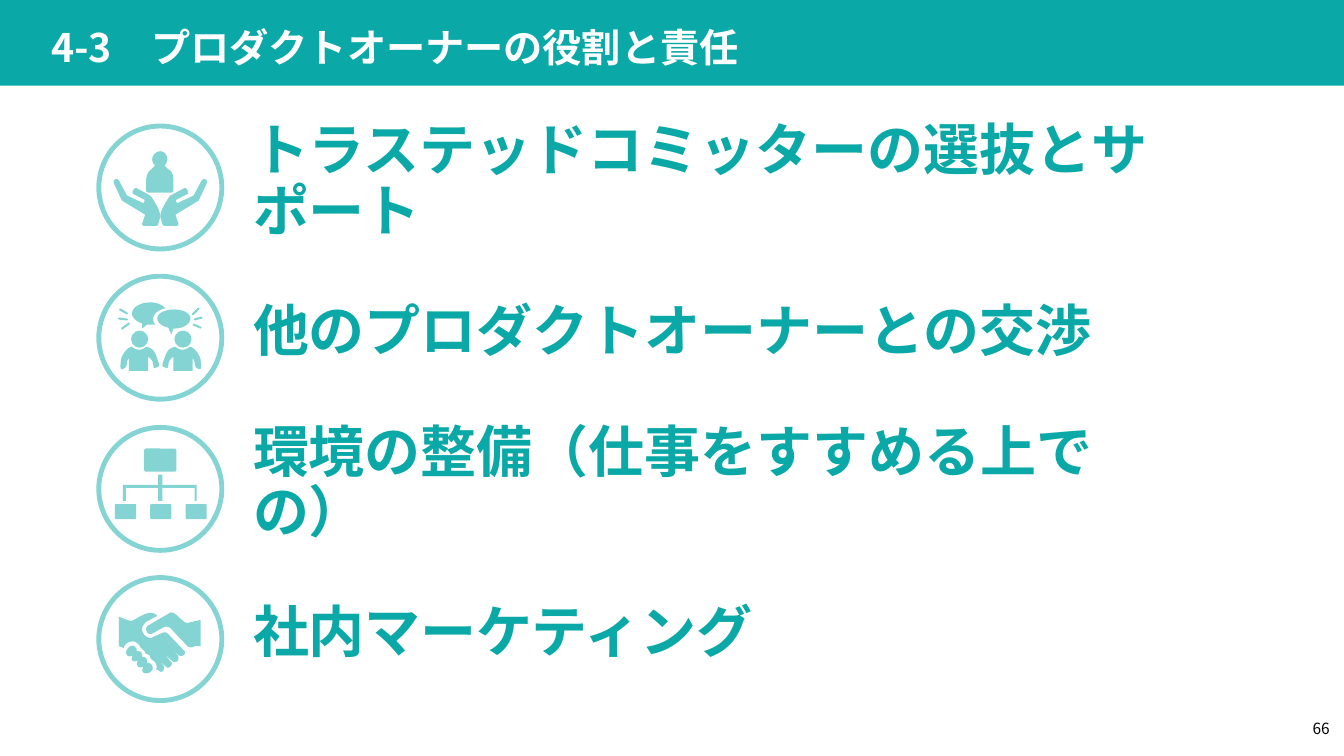
from dataclasses import dataclass

from lxml.etree import SubElement
from pptx import Presentation
from pptx.dml.color import RGBColor
from pptx.enum.lang import MSO_LANGUAGE_ID as Language
from pptx.enum.shapes import MSO_CONNECTOR as Connector, MSO_SHAPE as Shape
from pptx.enum.text import MSO_ANCHOR as Anchor, MSO_AUTO_SIZE as AutoSize, PP_ALIGN as Align
from pptx.oxml.ns import qn
from pptx.util import Pt

TITLE = "4-3\u3000プロダクトオーナーの役割と責任".replace("\u3000", "　")
PAGE_NUMBER = "66"

# Outlines: a pair is a straight step, six numbers are a Bezier step.
HAND = [
    (149, 194), (136, 187), (134, 186, 133, 187, 132, 189), (131, 190, 131, 192, 133, 193),
    (143, 198), (143, 198, 144, 200, 143, 200), (143, 201, 142, 202, 141, 201), (126, 194),
    (118, 179), (117, 178, 115, 177, 114, 178), (113, 179, 112, 181, 113, 182), (120, 197),
    (121, 199), (144, 213), (141, 222), (141, 223, 141, 224, 143, 224), (155, 224),
    (156, 224, 157, 223, 157, 222), (159, 215), (159, 212, 158, 210, 157, 207),
    (155, 203, 151, 196, 149, 194)]
HELD_PERSON = [
    (145, 189), (145, 190, 146, 191, 147, 191), (170, 191), (171, 191, 172, 190, 172, 189),
    (172, 179), (172, 174, 171, 170, 167, 168), (163, 164), (165, 163, 166, 160, 166, 158),
    (166, 154, 163, 150, 159, 150), (155, 150, 151, 154, 151, 158),
    (151, 160, 152, 163, 154, 164), (150, 168), (147, 170, 145, 174, 145, 179)]
SPEAKER = [
    (131, 344), (131, 344, 134, 347, 138, 347), (142, 347, 145, 344, 145, 344),
    (145, 344, 151, 345, 153, 349), (155, 352, 158, 361, 158, 363),
    (157, 364, 155, 365, 153, 365), (152, 365, 152, 360, 151, 358),
    (149, 355, 147, 354, 147, 354), (147, 368), (128, 368), (128, 355),
    (128, 355, 126, 358, 126, 359), (126, 360, 126, 365, 122, 366),
    (118, 368, 120, 360, 120, 357), (120, 354, 126, 344, 131, 344)]
BACK_BUBBLE = [
    (164, 306), (161, 302, 155, 300, 149, 300), (139, 300, 131, 305, 131, 311),
    (131, 315, 135, 319, 141, 321), (141, 326), (146, 322), (149, 322), (154, 322),
    (152, 320, 152, 318, 152, 316), (152, 312, 157, 307, 164, 306)]
FRONT_BUBBLE = [
    (173, 307), (163, 307, 156, 311, 156, 316), (156, 320, 161, 324, 167, 325), (170, 332),
    (172, 326), (173, 326), (182, 326, 189, 321, 189, 316), (189, 311, 182, 307, 173, 307)]
TREE = [
    (122, 497), (122, 481), (157, 481), (157, 471), (161, 471), (161, 481), (195, 481),
    (195, 497), (193, 497), (193, 484), (161, 484), (161, 497), (157, 497), (157, 484),
    (125, 484), (125, 497)]
RIGHT_HAND = [
    (199, 615), (199, 641), (193, 641), (192, 642, 188, 643, 186, 641),
    (182, 637, 169, 623, 169, 623), (169, 623, 166, 621, 163, 622), (159, 624, 154, 627, 152, 628),
    (148, 631, 145, 627, 145, 624), (145, 622, 146, 621, 148, 620), (153, 617, 163, 611, 167, 609),
    (169, 607, 171, 607, 175, 610), (179, 614, 183, 617, 183, 617), (183, 617, 184, 618, 186, 618)]
KNUCKLES = [
    (146, 658), (146, 656, 146, 654, 145, 653), (144, 652, 142, 651, 141, 652),
    (141, 650, 141, 649, 140, 647), (139, 646, 137, 646, 135, 646), (136, 645, 136, 643, 134, 642),
    (133, 640, 130, 640, 128, 642), (126, 644, 124, 647, 126, 650), (128, 652, 130, 651, 132, 650),
    (131, 652, 130, 653, 131, 655), (133, 657, 135, 656, 137, 655), (136, 657, 135, 659, 137, 661),
    (138, 663, 141, 662, 142, 661), (142, 663, 140, 665, 142, 667), (144, 669, 148, 668, 150, 666),
    (152, 664, 152, 661, 150, 659), (149, 658, 147, 657, 146, 658)]
LEFT_HAND = [
    (182, 645), (167, 629), (167, 629, 164, 626, 161, 628), (154, 631), (150, 633),
    (145, 633, 141, 629, 141, 624), (141, 621, 143, 619, 145, 617), (156, 611),
    (156, 611, 154, 608, 149, 608), (144, 608, 133, 615, 133, 615),
    (133, 615, 131, 617, 126, 615), (118, 612), (118, 641), (123, 643),
    (123, 641, 124, 640, 125, 639), (128, 636, 134, 635, 137, 639), (138, 640, 139, 641, 139, 642),
    (142, 645), (143, 645, 144, 647, 144, 648), (145, 649, 147, 649, 148, 650),
    (149, 651, 149, 653, 150, 654), (153, 656), (155, 658, 156, 661, 155, 664), (157, 665),
    (159, 667, 161, 667, 162, 665), (163, 664, 163, 662, 162, 660), (158, 655), (164, 661),
    (166, 663, 168, 663, 169, 661), (171, 660, 171, 657, 169, 656), (163, 649), (171, 656),
    (173, 657, 175, 657, 176, 656), (177, 655, 177, 653, 177, 651), (171, 644), (177, 650),
    (179, 651, 181, 651, 182, 650), (184, 649, 184, 646, 182, 645)]
RAYS = [
    (191, 312, 197, 306), (193, 317, 200, 315), (192, 322, 199, 325),
    (126, 311, 119, 307), (126, 317, 118, 316), (128, 321, 121, 326)]


def mirrored(outline, axis_sum):
    return [tuple(axis_sum - v if i % 2 == 0 else v for i, v in enumerate(step))
            for step in outline]


DUTIES = [
    ("トラステッドコミッターの選抜とサポート",
     {"outlines": [HAND, mirrored(HAND, 318), HELD_PERSON]}),
    ("他のプロダクトオーナーとの交渉",
     {"outlines": [SPEAKER, mirrored(SPEAKER, 319), BACK_BUBBLE, FRONT_BUBBLE],
      "heads": [(130, 328, 17, 17), (173, 328, 17, 17)], "rays": RAYS}),
    ("環境の整備（仕事をすすめる上での）",
     {"outlines": [TREE],
      "boxes": [(143, 445, 32, 23)] + [(114 + 35 * i, 500, 21, 15) for i in range(3)]}),
    ("社内マーケティング", {"outlines": [RIGHT_HAND, KNUCKLES, LEFT_HAND]}),
]


@dataclass(frozen=True)
class Theme:
    teal: RGBColor = RGBColor(0x0A, 0xA8, 0xA7)
    pale: RGBColor = RGBColor(0x85, 0xD4, 0xD4)
    white: RGBColor = RGBColor(0xFF, 0xFF, 0xFF)
    black: RGBColor = RGBColor(0, 0, 0)
    latin: str = "Cabin"
    japanese: str = "Noto Sans CJK JP"
    title: int = 28
    duty: int = 40
    number: int = 11


THEME = Theme()
PX = 9144  # 100 px to the inch
FIRST_ROW, ROW_PITCH = 125, 149.4


def px(*lengths):
    return [round(length * PX) for length in lengths]


def flatten(outline, pieces=8):
    """Turn the steps of an outline into plain points."""
    points = [outline[0]]
    for step in outline[1:]:
        if len(step) == 2:
            points.append(step)
            continue
        corners = [points[-1], step[:2], step[2:4], step[4:]]
        for n in range(1, pieces + 1):
            t = n / pieces
            weights = ((1 - t) ** 3, 3 * t * (1 - t) ** 2, 3 * t * t * (1 - t), t ** 3)
            points.append(tuple(sum(w * c[axis] for w, c in zip(weights, corners))
                                for axis in (0, 1)))
    return points


def paint(shape, fill, line=None):
    shape.shadow.inherit = False
    shape.fill.solid()
    shape.fill.fore_color.rgb = fill
    if line is None:
        shape.line.fill.background()
    else:
        shape.line.color.rgb = line
        shape.line.width = Pt(3.5)


def add_preset(shapes, kind, place, fill, line=None):
    shape = shapes.add_shape(kind, *px(*place))
    paint(shape, fill, line)
    return shape


def add_outline(shapes, outline):
    first, *rest = [px(*point) for point in flatten(outline)]
    builder = shapes.build_freeform(*first, scale=1.0)
    builder.add_line_segments(rest, close=True)
    paint(builder.convert_to_shape(), THEME.pale)


def add_ray(shapes, ends):
    ray = shapes.add_connector(Connector.STRAIGHT, *px(*ends))
    ray.line.color.rgb = THEME.pale
    ray.line.width = Pt(1.5)
    ray.line._get_or_add_ln().set("cap", "rnd")
    SubElement(ray._element.spPr, qn("a:effectLst"))


def write(box, text, size, color, font, insets, anchor, bold=True, align=Align.LEFT, spacing=0.9):
    frame = box.text_frame
    frame.word_wrap = True
    frame.auto_size = AutoSize.NONE
    frame.vertical_anchor = anchor
    (frame.margin_left, frame.margin_top,
     frame.margin_right, frame.margin_bottom) = px(*insets)
    para = frame.paragraphs[0]
    para.alignment = align
    para.line_spacing = spacing
    span = para.add_run()
    span.text = text
    span.font.size = Pt(size)
    span.font.bold = bold
    span.font.color.rgb = color
    span.font.name = font
    span.font.language_id = Language.JAPANESE
    SubElement(span.font._element, qn("a:ea")).set("typeface", THEME.japanese)


def add_icon(page, top, outlines, heads=(), boxes=(), rays=()):
    shapes = page.shapes.add_group_shape().shapes
    add_preset(shapes, Shape.OVAL, (98, top, 122, 122), THEME.white, THEME.pale)
    for head in heads:
        add_preset(shapes, Shape.OVAL, head, THEME.pale)
    for box in boxes:
        add_preset(shapes, Shape.ROUNDED_RECTANGLE, box, THEME.pale).adjustments[0] = 0.08
    for outline in outlines:
        add_outline(shapes, outline)
    for ray in rays:
        add_ray(shapes, ray)


def main():
    deck = Presentation()
    deck.slide_width, deck.slide_height = px(1333, 750)
    page = deck.slides.add_slide(deck.slide_layouts[5])
    title = page.shapes.title
    band = add_preset(page.shapes, Shape.RECTANGLE, (0, 0, 1333, 85), THEME.teal)
    title._element.addprevious(band._element)
    title.left, title.top, title.width, title.height = px(0, 0, 1251, 82)
    write(title, TITLE, THEME.title, THEME.white, THEME.japanese, (51, 12, 47, 12), Anchor.BOTTOM)

    number = page.shapes.add_textbox(*px(1273, 703, 46, 40))
    write(number, PAGE_NUMBER, THEME.number, THEME.black, THEME.japanese, (0, 0, 0, 0),
          Anchor.MIDDLE, bold=False, align=Align.RIGHT, spacing=1.0)

    for row, (duty, icon) in enumerate(DUTIES):
        top = round(FIRST_ROW + ROW_PITCH * row)
        label = page.shapes.add_textbox(*px(251, top + 31, 906, 59))
        write(label, duty, THEME.duty, THEME.teal, THEME.latin, (0, 0, 0, 8), Anchor.MIDDLE)
        add_icon(page, top, **icon)
    deck.save("out.pptx")


if __name__ == "__main__":
    main()
